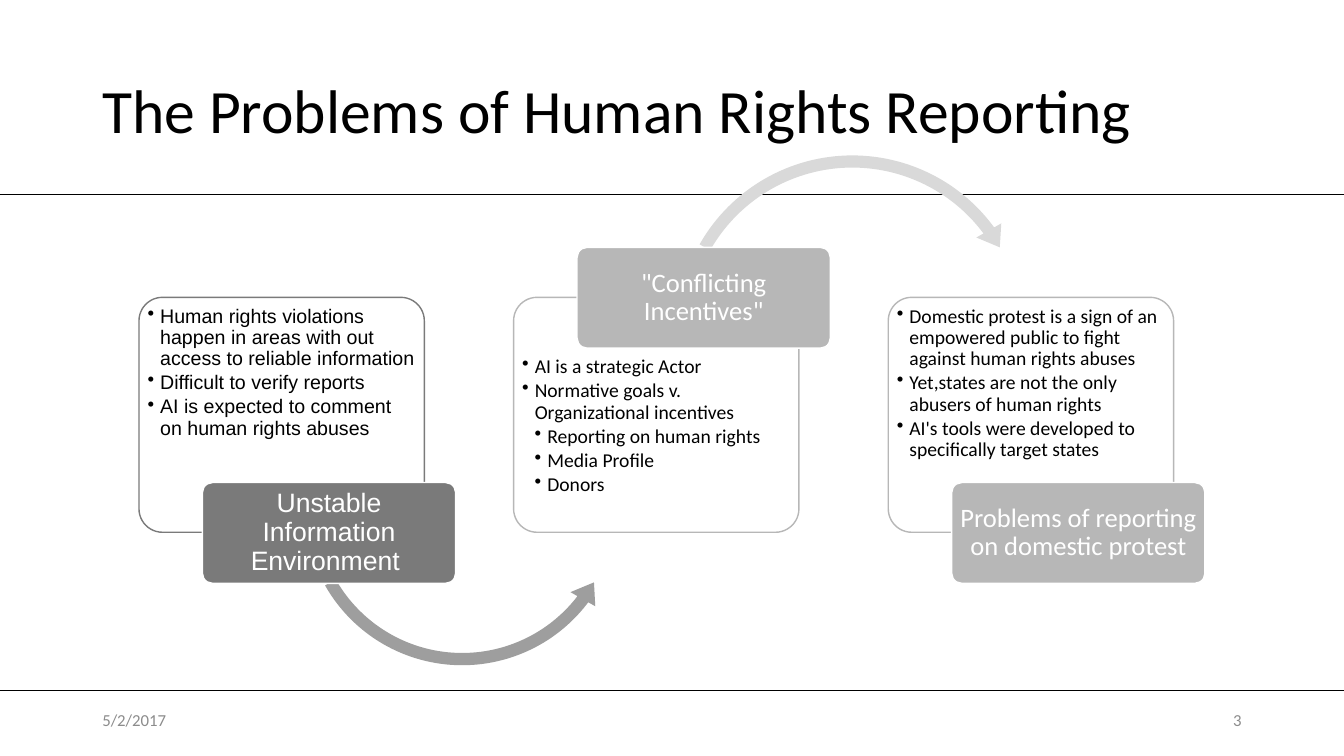
from pptx import Presentation
from pptx.util import Pt
from pptx.dml.color import RGBColor
from pptx.enum.shapes import MSO_SHAPE, MSO_CONNECTOR
from pptx.enum.text import PP_ALIGN, MSO_ANCHOR
from lxml import etree

NS = "{http://schemas.openxmlformats.org/drawingml/2006/main}"

deck = Presentation()
deck.slide_width, deck.slide_height = Pt(960), Pt(540)
slide = deck.slides.add_slide(deck.slide_layouts[6])
shapes = slide.shapes


def add_form(kind, box, fill, line=None, adj=()):
    form = shapes.add_shape(kind, *map(Pt, box))
    form.shadow.inherit = False
    form.fill.solid()
    form.fill.fore_color.rgb = RGBColor.from_string(fill)
    if line:
        form.line.color.rgb = RGBColor.from_string(line)
        form.line.width = Pt(1)
    else:
        form.line.fill.background()
    for i, val in enumerate(adj):
        form.adjustments[i] = val
    return form


def write(form, rows, font, size, color, align=PP_ALIGN.LEFT,
          anchor=MSO_ANCHOR.MIDDLE, pads=(7.2, 3.6, 7.2, 3.6), gap=0):
    # Each row is (level, text); levels above 0 get a bullet
    frame = form.text_frame
    frame.word_wrap = True
    frame.vertical_anchor = anchor
    (frame.margin_left, frame.margin_top,
     frame.margin_right, frame.margin_bottom) = map(Pt, pads)
    for i, (level, text) in enumerate(rows):
        para = frame.add_paragraph() if i else frame.paragraphs[0]
        para.alignment = align
        para.line_spacing = 0.9
        para.space_after = Pt(gap)
        if level:
            para.level = level
            props = para._p.get_or_add_pPr()
            props.set("marL", str(Pt(9 * level)))
            props.set("indent", str(Pt(-9)))
            etree.SubElement(props, NS + "buChar", char="•")
        run = para.add_run()
        run.text = text
        run.font.name = font
        run.font.size = Pt(size)
        run.font.color.rgb = RGBColor.from_string(color)


# Rules across the slide
for y in (139, 493):
    rule = shapes.add_connector(MSO_CONNECTOR.STRAIGHT, 0, Pt(y), Pt(960), Pt(y))
    rule.line.color.rgb = RGBColor.from_string("000000")
    rule.line.width = Pt(0.5)
    etree.SubElement(rule._element.spPr, NS + "effectLst")

# Title
title = shapes.add_textbox(Pt(66), Pt(28.75), Pt(828), Pt(104.4))
write(title, [(0, "The Problems\u00a0of Human Rights Reporting")],
      "Calibri", 44, "000000")

# Three steps: heading, font, grey, label top, text drop, points, arrow
steps = [
    ("Unstable Information Environment\u00a0", "Arial", "7A7A7A", 344.7, 0,
     [(1, "Human rights violations happen in areas with out access to "
          "reliable information"),
      (1, "Difficult to verify reports\u00a0"),
      (1, "AI is expected to comment on human rights abuses")],
     (MSO_SHAPE.LEFT_CIRCULAR_ARROW, (211.7, 244.1, 236.9, 236.9), "9E9E9E",
      None, (0.037, 4.574, 22.329, 90.245, 0.043))),
    ("\"Conflicting Incentives\"", "Calibri", "B7B7B7", 176.7, 36,
     [(1, "AI is a strategic Actor"),
      (1, "Normative goals v. Organizational incentives"),
      (2, "Reporting on human rights"),
      (2, "Media Profile"),
      (2, "Donors")],
     (MSO_SHAPE.CIRCULAR_ARROW, (477.4, 105.1, 262.8, 262.8), "D9D9D9",
      None, (0.033, 4.086, 194.159, 125.755, 0.039))),
    ("Problems of reporting on domestic protest", "Calibri", "B7B7B7", 344.7, 0,
     [(1, "Domestic protest is a sign of an empowered public to fight "
          "against human rights abuses"),
      (1, "Yet,states are not the only abusers of human rights"),
      (1, "AI's tools were developed to specifically target states")],
     None),
]
for i, (head, font, grey, top, drop, points, arrow) in enumerate(steps):
    left = 99.3 + 267.6 * i
    card = add_form(MSO_SHAPE.ROUNDED_RECTANGLE, (left, 212.4, 203.8, 167.8),
                    "FFFFFF", grey, [0.1])
    write(card, points, font, 14, "000000", anchor=MSO_ANCHOR.TOP,
          pads=(1.2, 1.6 + drop, 1.2, 2), gap=2.1)
    if arrow:
        add_form(*arrow)
    label = add_form(MSO_SHAPE.ROUNDED_RECTANGLE, (left + 45.3, top, 180.9, 72),
                     grey, "FFFFFF", [0.1])
    write(label, [(0, head)], font, 19, "FFFFFF", PP_ALIGN.CENTER,
          pads=(2.8, 1.9, 2.8, 1.9))

# Date and slide number
for x, text, align in ((66, "5/2/2017", PP_ALIGN.LEFT),
                       (678, "3", PP_ALIGN.RIGHT)):
    foot = shapes.add_textbox(Pt(x), Pt(500.5), Pt(216), Pt(28.8))
    write(foot, [(0, text)], "Calibri", 12, "8C8C8C", align)

deck.save("out.pptx")
